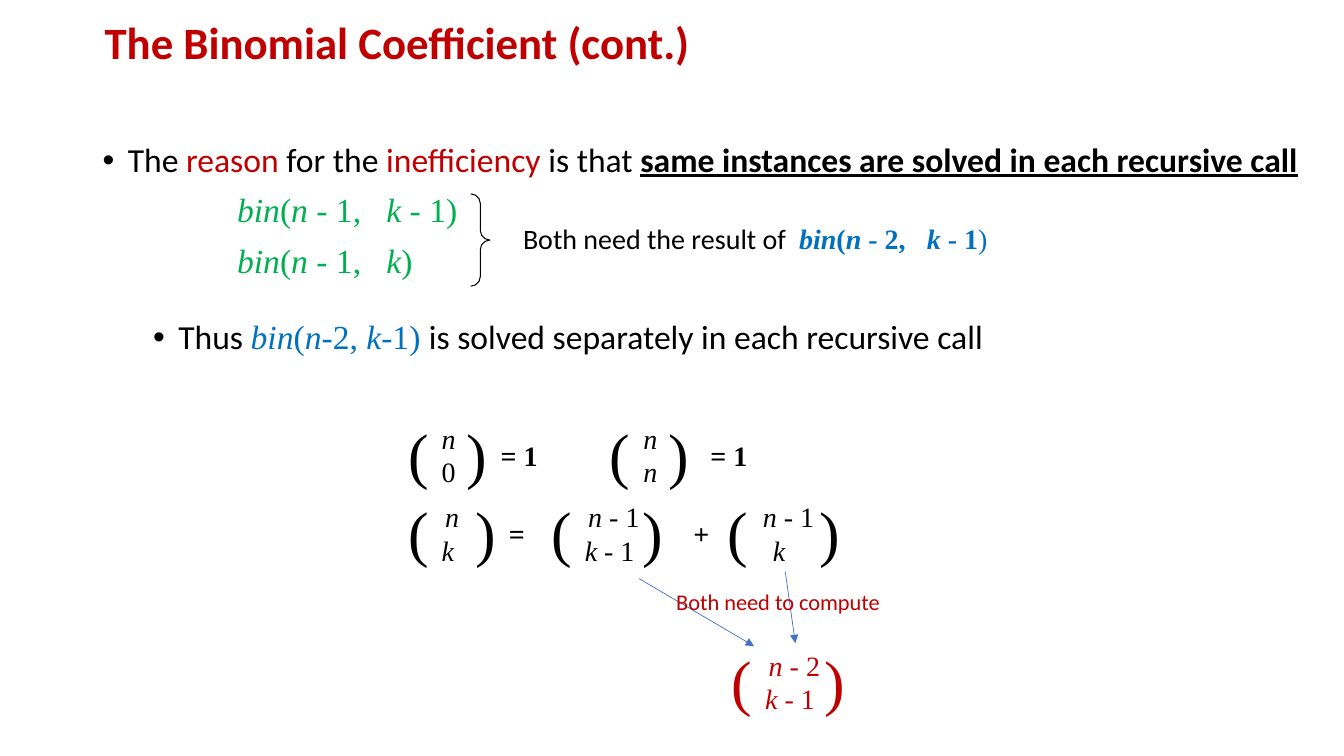
from itertools import groupby
from lxml.etree import SubElement
from pptx import Presentation
from pptx.dml.color import RGBColor
from pptx.enum.shapes import MSO_CONNECTOR as CONNECTOR, MSO_SHAPE as SHAPE
from pptx.enum.text import MSO_ANCHOR as ANCHOR, MSO_AUTO_SIZE as AUTO_SIZE, PP_ALIGN as ALIGN
from pptx.oxml.ns import qn
from pptx.util import Pt

COLORS = {"black": "000000", "red": "C00000", "green": "00B050",
          "blue": "0070C0", "arrow": "4472C4"}
SANS, SERIF = "Calibri", "Times New Roman"


def add_text(para, text, size, color="black", font=SANS, bold=False, underline=False,
             tracking=0):
    """Add text to a paragraph; in serif formulas the letters are italic."""
    for is_name, chars in groupby(text, lambda c: font == SERIF and c.isalpha()):
        span = para.add_run()
        span.text = "".join(chars)
        span.font.name, span.font.size = font, Pt(size)
        span.font.bold, span.font.italic, span.font.underline = bold, is_name, underline
        span.font.color.rgb = RGBColor.from_string(COLORS[color])
        if tracking:
            span._r.get_or_add_rPr().set("spc", str(int(tracking * 100)))


def add_box(left, top, width, height, wrap=False):
    frame = page.shapes.add_textbox(Pt(left), Pt(top), Pt(width), Pt(height)).text_frame
    frame.word_wrap = wrap
    frame.auto_size = AUTO_SIZE.NONE if wrap else AUTO_SIZE.SHAPE_TO_FIT_TEXT
    return frame.paragraphs[0]


deck = Presentation()
deck.slide_width, deck.slide_height = Pt(960), Pt(540)
page = deck.slides.add_slide(deck.slide_layouts[5])

# Title
title = page.shapes.title
title.left, title.top, title.width, title.height = Pt(67.5), Pt(3), Pt(828), Pt(58)
title.text_frame.auto_size = AUTO_SIZE.NONE
title.text_frame.vertical_anchor = ANCHOR.MIDDLE
heading = title.text_frame.paragraphs[0]
heading.alignment, heading.line_spacing = ALIGN.LEFT, 0.9
add_text(heading, "The Binomial Coefficient (cont.)", 32, "red", bold=True)

# Body: (left margin, bullet, space before, text parts)
formula_start = ("bin(n - 1,", "green", SERIF)
formula_gap = (" ", "green", SERIF, False, False, 12)
body_lines = [
    (18, "•", 0, [("The ",), ("reason", "red"), (" for the ",), ("inefficiency", "red"),
                  (" is that ",),
                  ("same instances are solved in each recursive call",
                   "black", SANS, True, True)]),
    (96, "", 10, [formula_start, formula_gap, ("k - 1)", "green", SERIF)]),
    (96, "", 10, [formula_start, formula_gap, ("k)", "green", SERIF)]),
    (54, "•", 29, [("Thus ",), ("bin(n-2, k-1) ", "blue", SERIF),
                   ("is solved separately in each recursive call",)]),
]
para = add_box(66.25, 98.9, 874, 387.4, wrap=True)
body = page.shapes[-1].text_frame
for number, (margin, bullet, before, parts) in enumerate(body_lines):
    if number:
        para = body.add_paragraph()
    props = para._p.get_or_add_pPr()
    props.set("marL", str(Pt(margin)))
    props.set("indent", str(-Pt(18) if bullet else 0))
    if bullet:
        SubElement(props, qn("a:buFont"), typeface="Arial")
        SubElement(props, qn("a:buChar"), char=bullet)
    para.space_before = Pt(before)
    para.line_spacing = 0.9
    for text, *style in parts:
        add_text(para, text, 24, *style)

# Note beside the brace, with widened gaps before "bin" and "k"
need = add_box(366.5, 154.8, 349.2, 31.5)
for text, *style in [("Both need the result of",),
                     (" ", "black", SANS, False, False, 4.5),
                     ("bin(n - 2,", "blue", SERIF, True),
                     (" ", "blue", SERIF, True, False, 10),
                     ("k - 1", "blue", SERIF, True), (")", "blue", SERIF)]:
    add_text(need, text, 20, *style)

# Brace
brace = page.shapes.add_shape(SHAPE.RIGHT_BRACE, Pt(336.25), Pt(138.5), Pt(13.7), Pt(66))
brace.adjustments[0], brace.adjustments[1] = 0.5, 0.5
brace.shadow.inherit = False
brace.fill.background()
brace.line.color.rgb = RGBColor.from_string(COLORS["black"])
brace.line.width = Pt(0.75)

# Binomials: left, top, upper term, its offset, lower term, its offset, closing offset
binomials = [
    (284.4, 293.5, "n", 24, "0", 24, 42, "black"),
    (428.4, 293.5, "n", 24, "n", 24, 42, "black"),
    (284.4, 349.6, "n", 26.5, "k", 24, 48.2, "black"),
    (386.6, 349.6, "n - 1", 26.5, "k - 1", 24, 65.5, "black"),
    (512.6, 349.6, "n - 1", 25.2, "k", 32.4, 65.5, "black"),
    (515.5, 455.5, "n - 2", 26.5, "k - 1", 24, 66, "red"),
]
TERM_WIDTHS = {"n": 26, "k": 24.5, "0": 24.5, "= 1": 41, "=": 31, "+": 31}
for left, top, upper, upper_x, lower, lower_x, close_x, color in binomials:
    for term, x, y in [(upper, upper_x, 3.9), (lower, lower_x, 27.7)]:
        add_text(add_box(left + x, top + y, TERM_WIDTHS.get(term, 51), 31),
                 term, 20, color, SERIF)
    for bracket, x, width in [("(", 0, 29), (")", close_x, 29)]:
        add_text(add_box(left + x, top, width, 60.5), bracket, 44, color, SERIF)

# Signs between the binomials
for sign, left, top in [("= 1", 350.6, 309.4), ("= 1", 500.4, 309.4),
                        ("=", 356.4, 365.2), ("+", 488.2, 365.2)]:
    add_text(add_box(left, top, TERM_WIDTHS[sign], 31), sign, 20, "black", SERIF, True)

# Arrows to the shared binomial
for start_x, start_y, end_x, end_y in [(456.5, 413.3, 538.6, 461.5),
                                       (560.9, 408.2, 568.1, 459.4)]:
    arrow = page.shapes.add_connector(CONNECTOR.STRAIGHT, Pt(start_x), Pt(start_y),
                                      Pt(end_x), Pt(end_y))
    arrow.line.color.rgb = RGBColor.from_string(COLORS["arrow"])
    arrow.line.width = Pt(0.5)
    SubElement(arrow.line._get_or_add_ln(), qn("a:tailEnd"), type="triangle")
    SubElement(arrow._element.spPr, qn("a:effectLst"))
add_text(add_box(475.9, 416.4, 162, 26.6), "Both need to compute", 16, "red")

deck.save("out.pptx")
